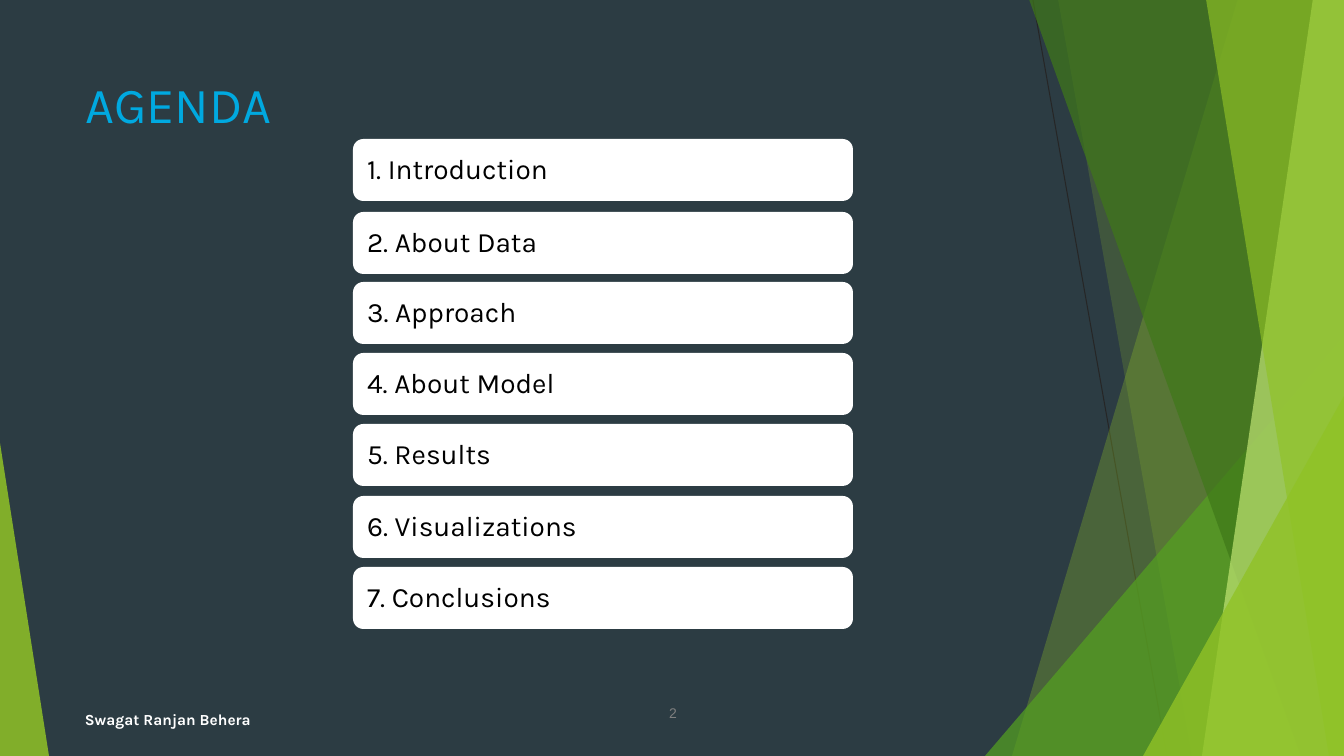
"""Build the agenda slide with its faceted green backdrop."""
from dataclasses import dataclass

from lxml import etree
from pptx import Presentation
from pptx import util as u
from pptx.dml.color import RGBColor
from pptx.enum import shapes, text
from pptx.oxml.ns import qn

SCALE = 914400 / 100.8
WIDTH, HEIGHT = 1344, 756
COLORS = {
    "background": "2C3C43", "line": "262626", "lime": "90C226", "green": "54A021",
    "forest": "3F7819", "pale": "C0E474", "number": "7F7F7F", "title": "00A9E0",
    "white": "FFFFFF", "black": "000000",
}


@dataclass(frozen=True)
class Band:
    """A facet that fills the slide to the right of a slanted edge."""
    top_x: int
    bottom_x: int
    color: str
    opacity: int


@dataclass(frozen=True)
class Corner:
    """A right triangle standing on the bottom of the slide."""
    left: int
    top: int
    width: int
    apex: float
    color: str
    opacity: int


@dataclass(frozen=True)
class Card:
    """One agenda entry."""
    label: str
    top: int


FACETS = (
    Band(1238, 1012, "lime", 30),
    Band(1058, 1192, "lime", 20),
    Corner(985, 336, 359, 1, "green", 72),
    Band(1029, 1301, "forest", 70),
    Band(1313, 1202, "pale", 70),
    Band(1206, 1329, "lime", 65),
    Corner(1143, 396, 201, 1, "lime", 80),
    Corner(0, 443, 49, 0, "lime", 85),
)
CARDS = (
    Card("1. Introduction", 139),
    Card("2. About Data", 212),
    Card("3. Approach", 282),
    Card("4. About Model", 353),
    Card("5. Results", 424),
    Card("6. Visualizations", 496),
    Card("7. Conclusions", 567),
)


def px(length: float) -> int:
    """Turn pixels into EMU."""
    return round(length * SCALE)


def rgb(name: str) -> RGBColor:
    """Look up a named colour."""
    return RGBColor.from_string(COLORS[name])


def paint(shape, color: str, opacity: int = 100) -> None:
    """Give a shape a flat fill without outline or shadow."""
    shape.shadow.inherit = False
    shape.line.fill.background()
    shape.fill.solid()
    shape.fill.fore_color.rgb = rgb(color)
    if opacity < 100:
        swatch = shape.fill._xPr.find(".//" + qn("a:srgbClr"))
        etree.SubElement(swatch, qn("a:alpha")).set("val", str(opacity * 1000))


def write(shape, words: str, size: int, color: str, font: str = "Karla",
          bold: bool = False, align=text.PP_ALIGN.LEFT,
          anchor=text.MSO_ANCHOR.TOP):
    """Set and format the single paragraph of a shape."""
    frame = shape.text_frame
    frame.text = words
    frame.word_wrap = True
    frame.auto_size = text.MSO_AUTO_SIZE.NONE
    frame.vertical_anchor = anchor
    para = frame.paragraphs[0]
    para.alignment = align
    span = para.runs[0]
    span.font.name = font
    span.font.size = u.Pt(size)
    span.font.bold = bold
    span.font.color.rgb = rgb(color)
    return para


def set_insets(shape, side: int, vertical: int) -> None:
    """Set the inner margins of a text frame in pixels."""
    frame = shape.text_frame
    frame.margin_left = frame.margin_right = px(side)
    frame.margin_top = frame.margin_bottom = px(vertical)


def add_facet(page, facet: Band | Corner) -> None:
    """Draw one translucent facet."""
    if isinstance(facet, Band):
        builder = page.shapes.build_freeform(facet.top_x, -1, SCALE)
        builder.add_line_segments(
            [(WIDTH, -1), (WIDTH, HEIGHT), (facet.bottom_x, HEIGHT)], close=True)
        shape = builder.convert_to_shape()
    else:
        shape = page.shapes.add_shape(
            shapes.MSO_SHAPE.ISOSCELES_TRIANGLE, px(facet.left), px(facet.top),
            px(facet.width), px(HEIGHT - facet.top))
        shape.adjustments[0] = facet.apex
    paint(shape, facet.color, facet.opacity)


def add_backdrop(page) -> None:
    """Draw the background, the thin slanted line and the facets."""
    page.background.fill.solid()
    page.background.fill.fore_color.rgb = rgb("background")
    line = page.shapes.add_connector(
        shapes.MSO_CONNECTOR.STRAIGHT, px(1033), 0, px(1167), px(HEIGHT))
    line.line.color.rgb = rgb("line")
    line.line.width = u.Pt(0.75)
    etree.SubElement(line._element.spPr, qn("a:effectLst"))
    for facet in FACETS:
        add_facet(page, facet)


def add_title(page) -> None:
    """Place and format the title placeholder."""
    title = page.shapes.title
    title.left, title.top, title.width, title.height = map(px, (75, 68, 948, 145))
    write(title, "AGENDA", 36, "title")


def add_card(page, card: Card) -> None:
    """Draw one rounded agenda entry."""
    shape = page.shapes.add_shape(
        shapes.MSO_SHAPE.ROUNDED_RECTANGLE, px(353), px(card.top), px(500), px(62))
    paint(shape, "white")
    para = write(shape, card.label, 20, "black", anchor=text.MSO_ANCHOR.MIDDLE)
    para.line_spacing = 0.9
    set_insets(shape, 11, 8)


def add_footer(page) -> None:
    """Add the slide number and the presenter's name."""
    number = page.shapes.add_textbox(px(647), px(709), px(52), px(15))
    para = write(number, "2", 10, "number", font="Arial", align=text.PP_ALIGN.CENTER)
    para.line_spacing = u.Pt(9)
    set_insets(number, 0, 0)
    name = page.shapes.add_textbox(px(75), px(705), px(461), px(29))
    write(name, "Swagat Ranjan Behera", 11, "white", bold=True)


def main() -> None:
    """Build and save the deck."""
    deck = Presentation()
    deck.slide_width, deck.slide_height = px(WIDTH), px(HEIGHT)
    page = deck.slides.add_slide(deck.slide_layouts[5])
    add_backdrop(page)
    add_title(page)
    for card in CARDS:
        add_card(page, card)
    add_footer(page)
    deck.save("out.pptx")


main()
